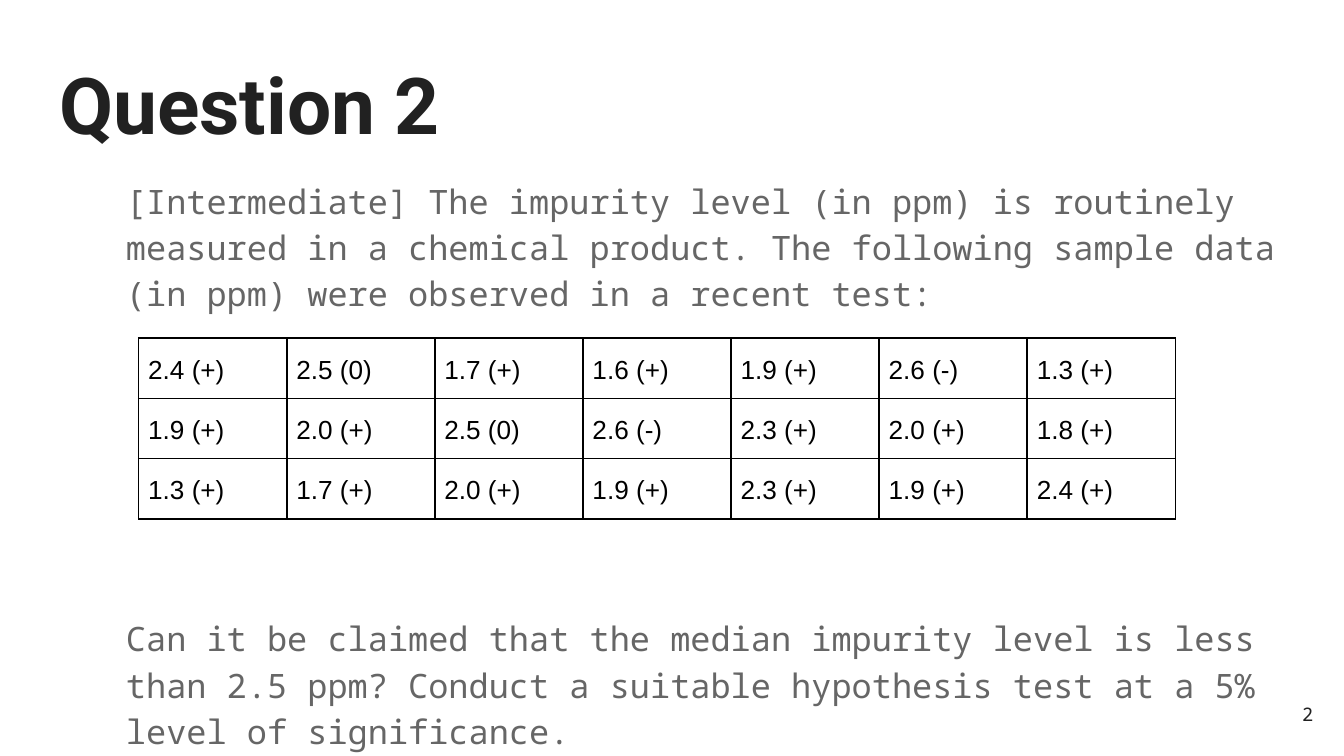
from lxml.etree import SubElement
from pptx import Presentation
from pptx.dml.color import RGBColor as RGB
from pptx.enum.text import MSO_ANCHOR as Anchor, MSO_AUTO_SIZE as AutoSize, PP_ALIGN as Align
from pptx.oxml.ns import qn
from pptx.util import Cm, Pt

# Content
TITLE = "Question 2"
INTRO = ("[Intermediate] The impurity level (in ppm) is routinely measured in a chemical "
         "product. The following sample data (in ppm) were observed in a recent test:")
QUESTION = ("Can it be claimed that the median impurity level is less than 2.5 ppm? "
            "Conduct a suitable hypothesis test at a 5% level of significance.")
SAMPLES = [
    ["2.4 (+)", "2.5 (0)", "1.7 (+)", "1.6 (+)", "1.9 (+)", "2.6 (-)", "1.3 (+)"],
    ["1.9 (+)", "2.0 (+)", "2.5 (0)", "2.6 (-)", "2.3 (+)", "2.0 (+)", "1.8 (+)"],
    ["1.3 (+)", "1.7 (+)", "2.0 (+)", "1.9 (+)", "2.3 (+)", "1.9 (+)", "2.4 (+)"],
]
PAGE = "2"

COLORS = {"heading": "212121", "body": "666666", "table": "000000"}
MONO = "Noto Sans Mono"
INSET = Cm(0.25)
COL_W, ROW_H = Cm(2.8), Cm(1.14)


def place(sp, left, top, width, height, anchor=Anchor.TOP):
    sp.left, sp.top, sp.width, sp.height = Cm(left), Cm(top), Cm(width), Cm(height)
    tf = sp.text_frame
    tf.word_wrap, tf.auto_size, tf.vertical_anchor = True, AutoSize.NONE, anchor
    tf.margin_left = tf.margin_right = tf.margin_top = tf.margin_bottom = INSET
    return tf


def add_run(p, text, font, size, color, bold=False):
    r = p.add_run()
    r.text = text
    r.font.name, r.font.size, r.font.bold = font, Pt(size), bold
    r.font.color.rgb = RGB.from_string(COLORS[color])


def add_borders(cell):
    tcPr = cell._tc.get_or_add_tcPr()
    for side in ("lnL", "lnR", "lnT", "lnB"):
        ln = SubElement(tcPr, qn(f"a:{side}"), w=str(Pt(1)))
        fill = SubElement(ln, qn("a:solidFill"))
        SubElement(fill, qn("a:srgbClr"), val=COLORS["table"])


prs = Presentation()
prs.slide_width, prs.slide_height = Cm(25.4), Cm(14.29)
s = prs.slides.add_slide(prs.slide_layouts[1])

# Title
p = place(s.shapes.title, 0.87, 0.81, 23.67, 2.24).paragraphs[0]
p.alignment = Align.LEFT
add_run(p, TITLE, "Roboto", 42, "heading", bold=True)

# Body: the space before the question leaves room for the table
tf = place(s.placeholders[1], 0.87, 3.05, 23.67, 10.54)
for i, (text, before) in enumerate([(INTRO, 0), (QUESTION, 160)]):
    p = tf.add_paragraph() if i else tf.paragraphs[0]
    pPr = p._p.get_or_add_pPr()
    pPr.set("marL", str(Cm(1.26)))
    pPr.set("indent", "0")
    p.line_spacing, p.space_before = 1.15, Pt(before)
    SubElement(pPr, qn("a:buNone"))
    add_run(p, text, MONO, 18, "body")

# Sample table
rows, cols = len(SAMPLES), len(SAMPLES[0])
table = s.shapes.add_table(rows, cols, Cm(2.62), Cm(6.39), COL_W * cols, ROW_H * rows).table
table.first_row = table.horz_banding = False
for col in table.columns:
    col.width = COL_W
for row, values in zip(table.rows, SAMPLES):
    row.height = ROW_H
    for cell, value in zip(row.cells, values):
        cell.margin_left = cell.margin_right = Cm(0.18)
        cell.margin_top = cell.margin_bottom = INSET
        add_borders(cell)
        cell.fill.background()
        p = cell.text_frame.paragraphs[0]
        p.line_spacing = 1.15
        add_run(p, value, "Arial", 14, "table")

# Page number
box = s.shapes.add_textbox(0, 0, 0, 0)
p = place(box, 23.55, 12.95, 1.52, 1.09, Anchor.MIDDLE).paragraphs[0]
p.alignment = Align.RIGHT
add_run(p, PAGE, MONO, 10, "heading")

prs.save("out.pptx")
